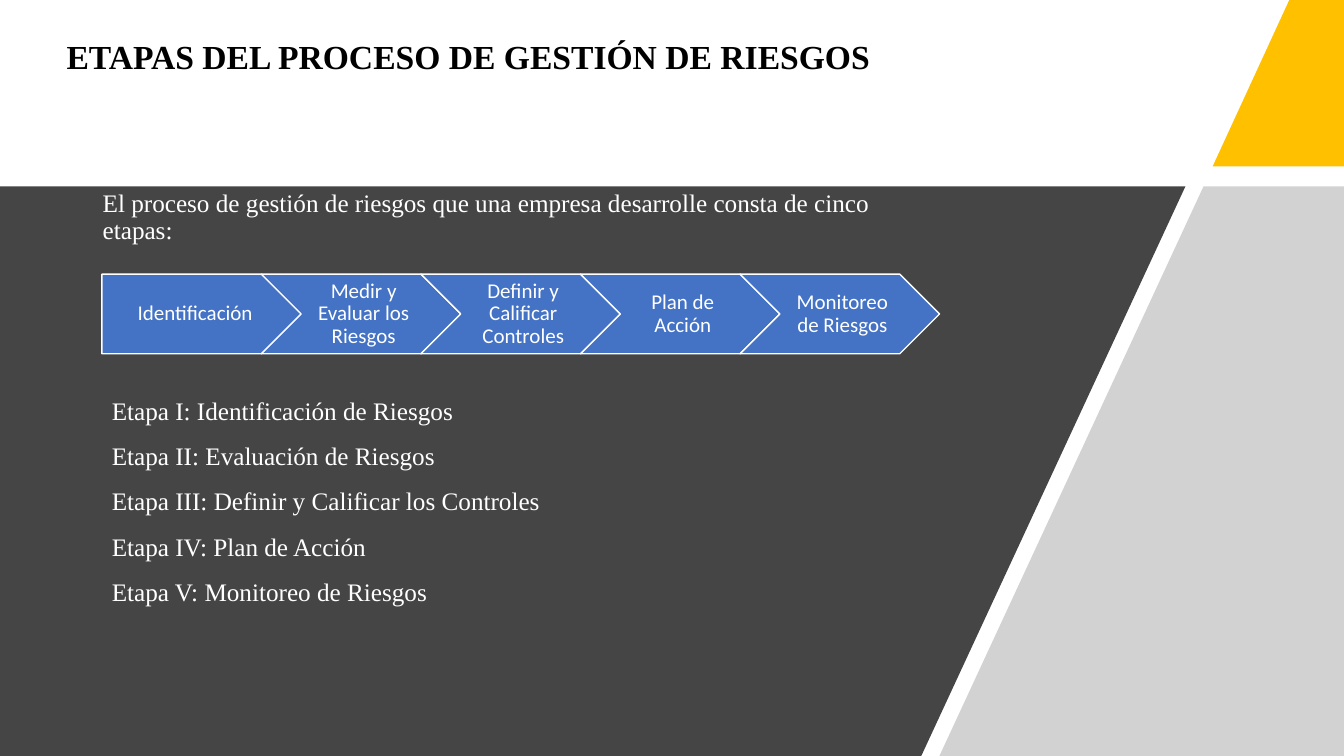
import pptx
import pptx.dml.color
import pptx.enum.shapes
import pptx.enum.text
import pptx.oxml.ns
import pptx.util
from lxml import etree

W, H = pptx.util.Inches(13.333), pptx.util.Inches(7.5)
SERIF, SANS = "Times New Roman", "Calibri"
WHITE, BLACK, DARK = "FFFFFF", "000000", "454545"
YELLOW, GRAY, BLUE = "FFC000", "A6A6A6", "4472C4"
SHAPE = pptx.enum.shapes.MSO_SHAPE
ANCHOR = pptx.enum.text.MSO_ANCHOR
ALIGN = pptx.enum.text.PP_ALIGN

TITLE = "ETAPAS DEL PROCESO DE GESTIÓN DE RIESGOS"
INTRO = "El proceso de gestión de riesgos que una empresa desarrolle consta de cinco etapas:"
STEPS = ["Identificación", "Medir y Evaluar los Riesgos", "Definir y Calificar Controles",
         "Plan de Acción", "Monitoreo de Riesgos"]
STAGES = ["Etapa I: Identificación de Riesgos", "Etapa II: Evaluación de Riesgos",
          "Etapa III: Definir y Calificar los Controles", "Etapa IV: Plan de Acción",
          "Etapa V: Monitoreo de Riesgos"]


def rgb(value):
    """Turn a hex string into a colour."""
    return pptx.dml.color.RGBColor.from_string(value)


def at(x, y):
    """Turn percentages of the slide's width and height into lengths."""
    return round(W * x / 100), round(H * y / 100)


def apply(target, formats):
    """Set every attribute of a dict on an object."""
    for name, value in formats.items():
        setattr(target, name, value)


def paint(sp, color, line=None):
    """Fill a shape, outline it if asked, and drop its shadow."""
    sp.shadow.inherit = False
    sp.fill.solid()
    sp.fill.fore_color.rgb = rgb(color)
    if line:
        sp.line.color.rgb = rgb(line)
        sp.line.width = pptx.util.Pt(1)
    else:
        sp.line.fill.background()


def write(sp, text, size, font, color, frame, paragraph, bold=False):
    """Write one formatted paragraph into a shape."""
    tf = sp.text_frame
    apply(tf, {"word_wrap": True, **frame})
    p = tf.paragraphs[0]
    p.text = text
    apply(p, paragraph)
    for r in p.runs:
        apply(r.font, {"size": pptx.util.Pt(size), "name": font, "bold": bold})
        r.font.color.rgb = rgb(color)


def add_panel(s, points, color, alpha=None):
    """Draw a filled polygon through points given in percent."""
    start, *rest = [at(*point) for point in points]
    builder = s.shapes.build_freeform(*start)
    builder.add_line_segments(rest, close=True)
    sp = builder.convert_to_shape()
    paint(sp, color)
    if alpha:
        fill = sp.element.spPr.find(".//" + pptx.oxml.ns.qn("a:srgbClr"))
        etree.SubElement(fill, pptx.oxml.ns.qn("a:alpha"), val=str(alpha * 1000))


def add_backdrop(s):
    """Draw the white ground and the slanted panels."""
    s.background.fill.solid()
    s.background.fill.fore_color.rgb = rgb(DARK)
    ground = s.shapes.add_shape(SHAPE.RECTANGLE, 0, 0, W, H)
    paint(ground, WHITE)
    s.shapes.element.insert(2, ground.element)
    top = 24.67
    add_panel(s, [(95.93, 0), (100, 0), (100, 22), (90.23, 22)], YELLOW)
    add_panel(s, [(0, top), (88.2, top), (68.55, 100), (0, 100)], DARK)
    add_panel(s, [(89.55, top), (100, top), (100, 100), (69.9, 100)], GRAY, 50)


def add_title(s, x, y, w, h):
    """Place the title placeholder and write the title."""
    sp = s.shapes.title
    (left, top), (width, height) = at(x, y), at(w, h)
    apply(sp, {"left": left, "top": top, "width": width, "height": height})
    write(sp, TITLE, 24, SERIF, BLACK,
          {"vertical_anchor": ANCHOR.TOP, "margin_top": 0},
          {"line_spacing": 0.9, "alignment": ALIGN.LEFT}, bold=True)


def add_text(s, x, y, w, h, text, paragraph):
    """Add a white serif text box."""
    sp = s.shapes.add_textbox(*at(x, y), *at(w, h))
    write(sp, text, 18, SERIF, WHITE, {}, paragraph)


def add_steps(s, x, y, w, h):
    """Spread the steps as overlapping arrows over a box."""
    overlap = 0.2
    step_w = w / (len(STEPS) - overlap * (len(STEPS) - 1))
    for i, step in enumerate(STEPS):
        kind = SHAPE.CHEVRON if i else SHAPE.PENTAGON
        left = x + i * step_w * (1 - overlap)
        sp = s.shapes.add_shape(kind, *at(left, y), *at(step_w, h))
        paint(sp, BLUE, WHITE)
        inset = pptx.util.Inches(0.04)
        frame = {"vertical_anchor": ANCHOR.MIDDLE, "margin_top": inset, "margin_bottom": inset,
                 "margin_left": pptx.util.Inches(0.07 if i else 0.09),
                 "margin_right": pptx.util.Inches(0.02)}
        write(sp, step, 15, SANS, WHITE, frame,
              {"line_spacing": 0.9, "alignment": ALIGN.CENTER})


def main():
    """Build the slide and save it."""
    prs = pptx.Presentation()
    apply(prs, {"slide_width": W, "slide_height": H})
    s = prs.slides.add_slide(prs.slide_layouts[5])
    add_backdrop(s)
    add_title(s, 4.2, 5.33, 65.7, 9.33)
    add_text(s, 6.9, 24.53, 60, 60.13, INTRO, {"line_spacing": 0.9})
    add_steps(s, 7.58, 36.27, 62.33, 10.53)
    add_text(s, 7.58, 49.6, 50, 40.67, "\v".join(STAGES), {"line_spacing": 1.5})
    prs.save("out.pptx")


if __name__ == "__main__":
    main()
